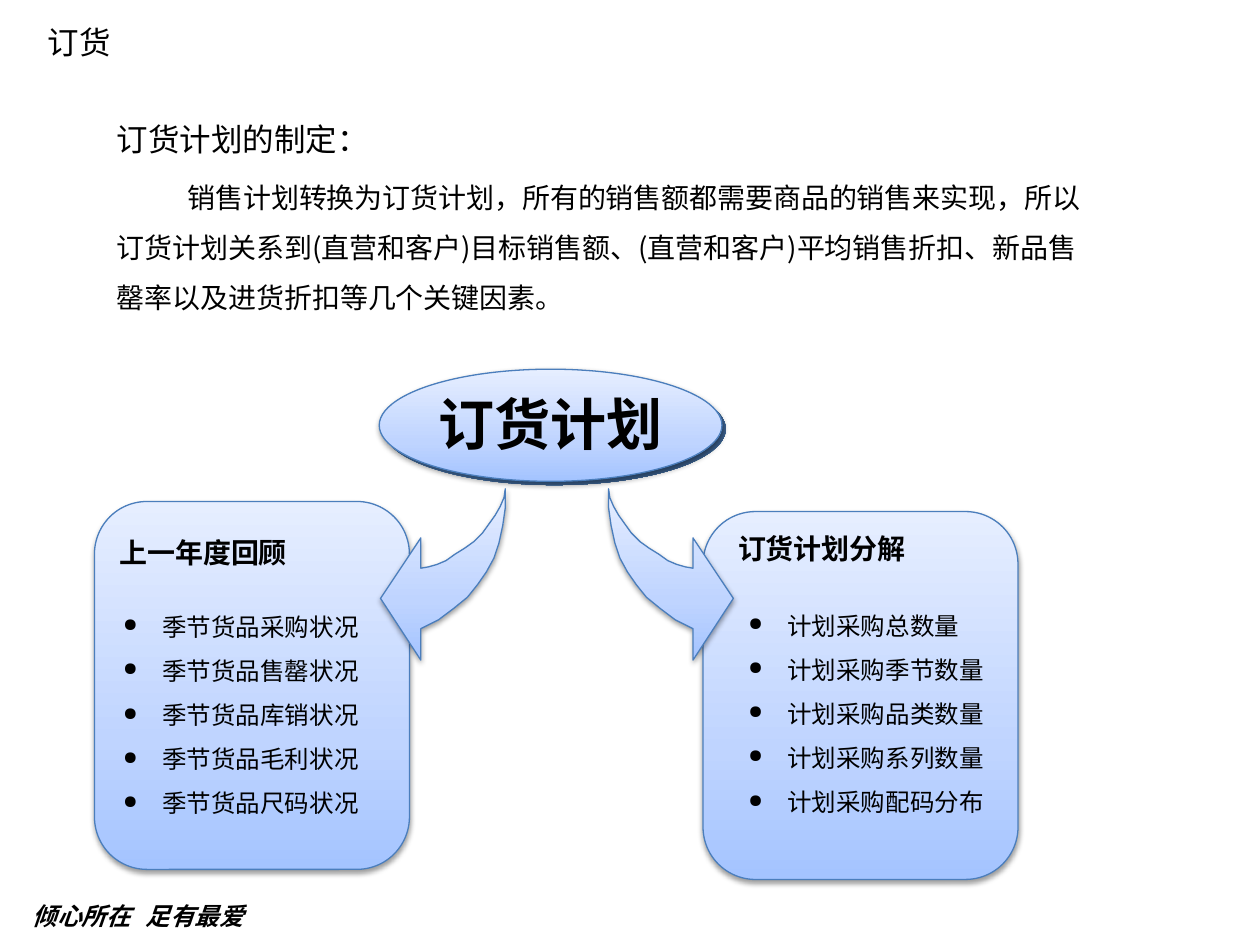
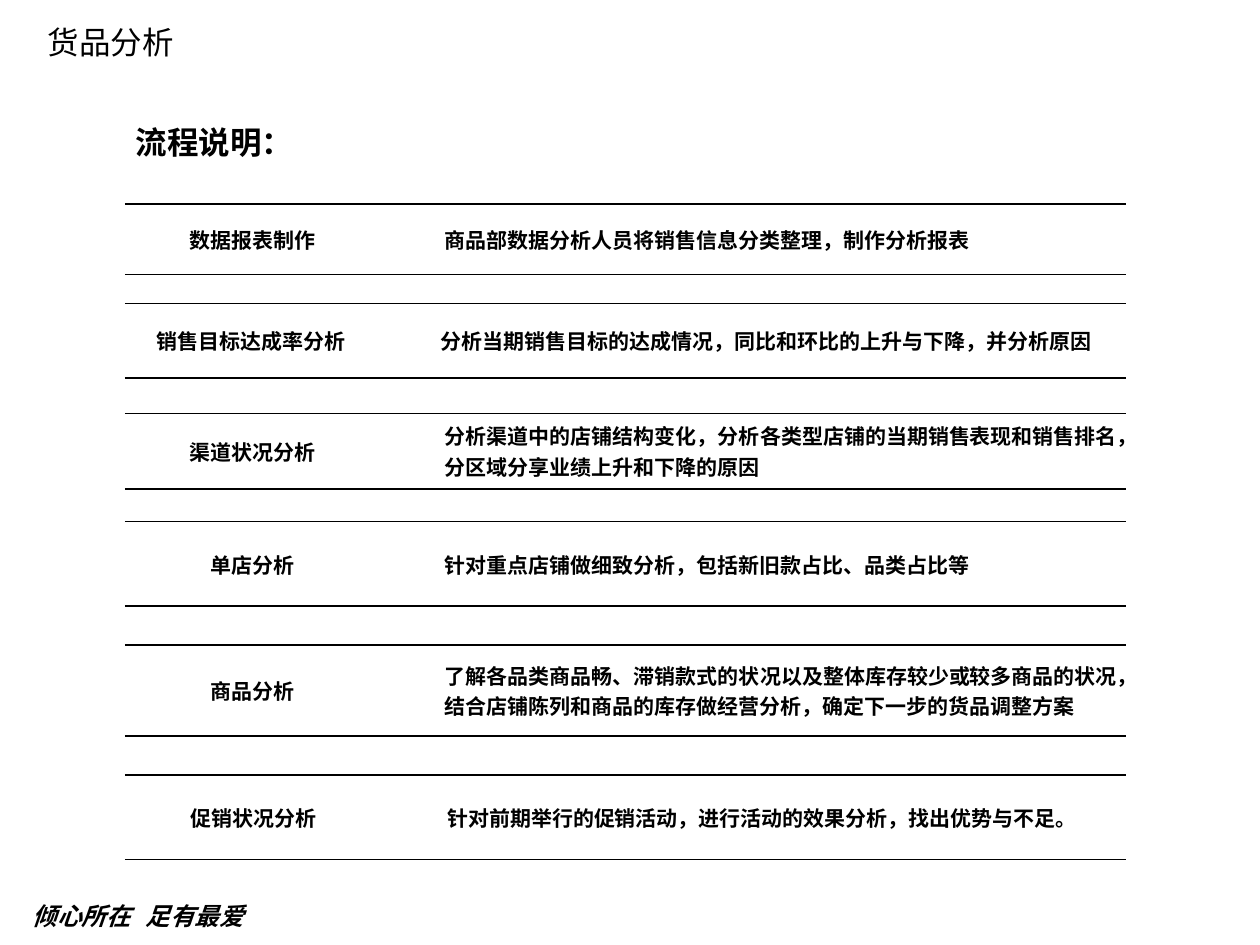
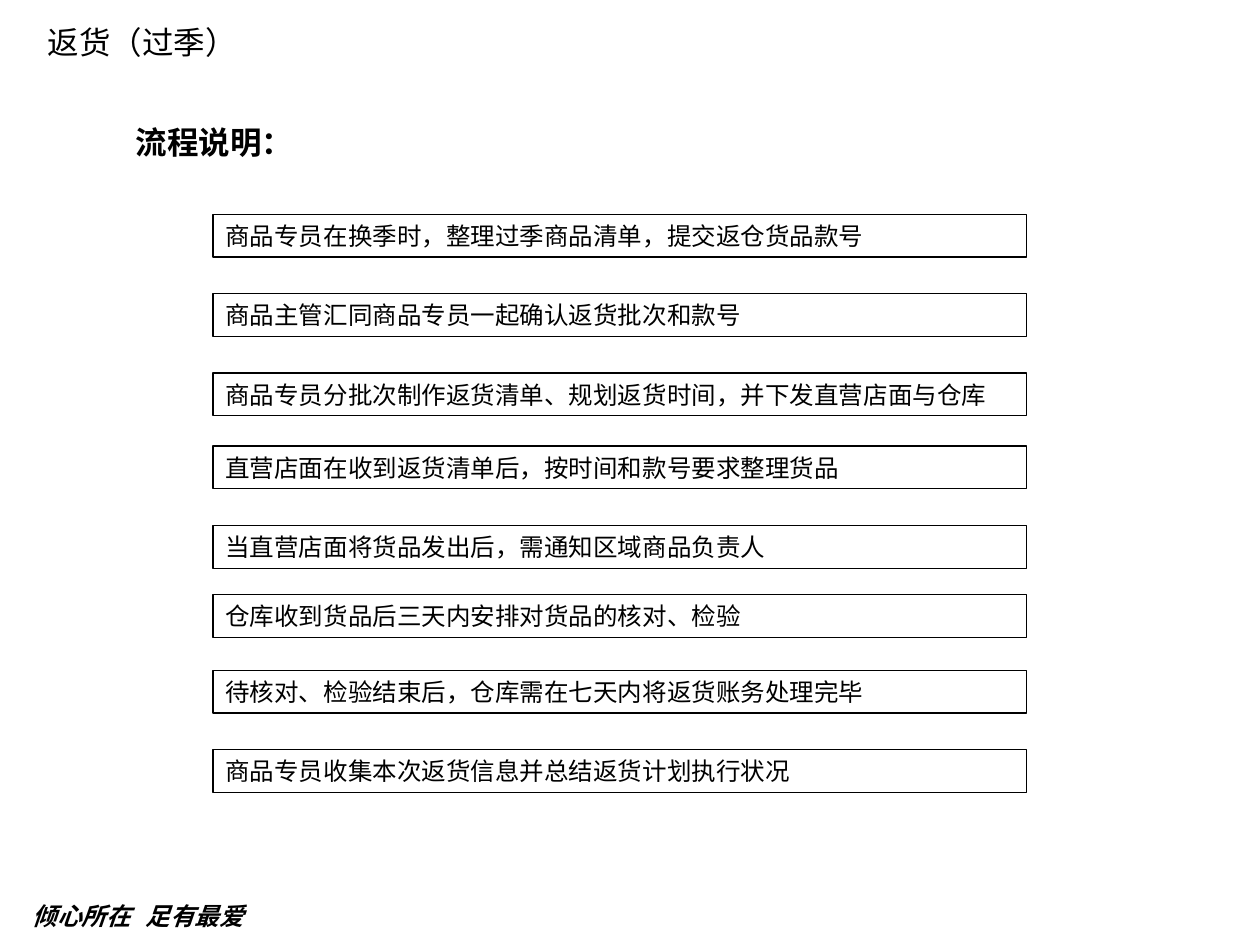
from dataclasses import dataclass

from lxml import etree
from pptx import Presentation
from pptx import util as u
from pptx.dml.color import RGBColor
from pptx.enum import shapes, text
from pptx.oxml.ns import qn


@dataclass(frozen=True)
class Theme:
    font: str = "Noto Sans CJK SC"
    ink: str = "000000"
    outline: str = "4B7EBC"
    gradient: tuple = ((0, "A4C4FF"), (35, "BFD4FF"), (100, "E6EEFF"))
    rim: tuple = ((0, "4F81BD"), (100, "3A5E8A"))
    title: int = 18
    body: int = 16
    item: int = 14
    cell: int = 12
    hero: int = 32
    spacing: float = 1.5


theme = Theme()


def add_run(paragraph, words, size, bold=False, italic=False):
    run = paragraph.add_run()
    run.text = words
    font = run.font
    font.size, font.bold, font.italic = u.Pt(size), bold, italic
    font.color.rgb = RGBColor.from_string(theme.ink)
    font.name = theme.font
    etree.SubElement(run._r.get_or_add_rPr(), qn("a:ea"), typeface=theme.font)


def add_label(slide, box, paragraphs, size, bold=False, spacing=1.0):
    """Add a wrapping text box and return it."""
    label = slide.shapes.add_textbox(*map(u.Inches, box))
    frame = label.text_frame
    frame.word_wrap = True
    for index, words in enumerate(paragraphs):
        paragraph = frame.add_paragraph() if index else frame.paragraphs[0]
        paragraph.line_spacing = spacing
        add_run(paragraph, words, size, bold)
    return label


presentation = Presentation()
presentation.slide_width, presentation.slide_height = u.Inches(10), u.Inches(7.5)

# Shared title and footer
slides = []
for title in ("订货", "货品分析", "返货（过季）"):
    slide = presentation.slides.add_slide(presentation.slide_layouts[6])
    add_label(slide, (0.28, 0.13, 3, 0.4), [title], theme.title)
    footer = slide.shapes.add_textbox(*map(u.Inches, (0.16, 7.1, 2.47, 0.32)))
    paragraph = footer.text_frame.paragraphs[0]
    tabs = etree.SubElement(paragraph._p.get_or_add_pPr(), qn("a:tabLst"))
    etree.SubElement(tabs, qn("a:tab"), pos=str(u.Inches(0.9)), algn="l")
    add_run(paragraph, "倾心所在\t足有最爱", theme.item, bold=True, italic=True)
    slides.append(slide)
order_slide, analysis_slide, return_slide = slides

# Ordering: introduction
introduction = add_label(order_slide, (0.83, 0.75, 7.95, 1.77), ["订货计划的制定："],
                         theme.title, spacing=theme.spacing)
paragraph = introduction.text_frame.add_paragraph()
paragraph.line_spacing = theme.spacing
paragraph.space_before = u.Pt(3.5)
paragraph._p.get_or_add_pPr().set("indent", str(u.Inches(0.56)))
add_run(paragraph, "销售计划转换为订货计划，所有的销售额都需要商品的销售来实现，所以"
        "订货计划关系到(直营和客户)目标销售额、(直营和客户)平均销售折扣、"
        "新品售罄率以及进货折扣等几个关键因素。", theme.body)

# Ordering: cards, curved arrows and oval
gradient_shapes = []
for left, top in ((5.58, 4.06), (0.75, 3.98)):
    card = order_slide.shapes.add_shape(shapes.MSO_SHAPE.ROUNDED_RECTANGLE,
                                        *map(u.Inches, (left, top, 2.5, 2.92)))
    gradient_shapes.append(card)

arrow_top = 3.88
arrow_outline = [
    (0, 0), (0, 0.15), (0.02, 0.29), (0.05, 0.43), (0.09, 0.55), (0.15, 0.66),
    (0.22, 0.76), (0.3, 0.86), (0.41, 0.95), (0.53, 1.04), (0.67, 1.11),
    (0.67, 1.36), (0.99, 0.87), (0.67, 0.39), (0.67, 0.63), (0.61, 0.62),
    (0.54, 0.6), (0.47, 0.57), (0.4, 0.52), (0.32, 0.47), (0.25, 0.42),
    (0.18, 0.35), (0.13, 0.28), (0.08, 0.21), (0.04, 0.14), (0.01, 0.07),
]
for stem, direction in ((4.01, -1), (4.83, 1)):
    points = [(u.Inches(stem + direction * x), u.Inches(arrow_top + y))
              for x, y in arrow_outline]
    builder = order_slide.shapes.build_freeform(*points[0])
    builder.add_line_segments(points[1:], close=True)
    gradient_shapes.append(builder.convert_to_shape())

for left, top in ((3.04, 2.96), (3.01, 2.93)):
    oval = order_slide.shapes.add_shape(shapes.MSO_SHAPE.OVAL,
                                        *map(u.Inches, (left, top, 2.72, 0.89)))
    gradient_shapes.append(oval)
rim = gradient_shapes[-2]
oval.text_frame.word_wrap = False
oval.text_frame.margin_bottom = u.Inches(0.09)
paragraph = oval.text_frame.paragraphs[0]
paragraph.alignment = text.PP_ALIGN.CENTER
add_run(paragraph, "订货计划", theme.hero, bold=True)

# Ordering: gradient, outline and soft shadow
for shape in gradient_shapes:
    shape.fill.gradient()
    shape.fill.gradient_angle = 315 if shape is rim else 90
    stops = shape._element.spPr.find(".//" + qn("a:gsLst"))
    stops.clear()
    for position, color in theme.rim if shape is rim else theme.gradient:
        stop = etree.SubElement(stops, qn("a:gs"), pos=str(position * 1000))
        etree.SubElement(stop, qn("a:srgbClr"), val=color)
    shape.shadow.inherit = False
    if shape is rim:
        shape.line.fill.background()
        continue
    shape.line.color.rgb = RGBColor.from_string(theme.outline)
    shape.line.width = u.Pt(0.75)
    effects = shape._element.spPr.find(qn("a:effectLst"))
    shadow = etree.SubElement(effects, qn("a:outerShdw"), blurRad="40000",
                              dist="20000", dir="5400000", rotWithShape="0")
    shade = etree.SubElement(shadow, qn("a:srgbClr"), val=theme.ink)
    etree.SubElement(shade, qn("a:alpha"), val="38000")

# Ordering: card headings and bullets
cards = [
    ("上一年度回顾", (0.85, 4.2, 2.23, 0.37), (0.88, 4.69, 2.14, 1.87),
     [f"季节货品{topic}状况" for topic in ("采购", "售罄", "库销", "毛利", "尺码")]),
    ("订货计划分解", (5.76, 4.17, 2.23, 0.37), (5.84, 4.68, 2.15, 1.83),
     [f"计划采购{topic}" for topic in ("总数量", "季节数量", "品类数量", "系列数量", "配码分布")]),
]
for heading, heading_box, list_box, items in cards:
    add_label(order_slide, heading_box, [heading], theme.body, bold=True)
    bullets = add_label(order_slide, list_box, items, theme.item, spacing=theme.spacing)
    for paragraph in bullets.text_frame.paragraphs:
        properties = paragraph._p.get_or_add_pPr()
        properties.set("marL", str(u.Inches(0.31)))
        properties.set("indent", str(u.Inches(-0.31)))
        etree.SubElement(properties, qn("a:buSzPct"), val="75000")
        etree.SubElement(properties, qn("a:buChar"), char="●")

# Heading of both process slides
for slide in (analysis_slide, return_slide):
    add_label(slide, (0.98, 0.93, 1.57, 0.4), ["流程说明："], theme.title, bold=True)

# Analysis: one ruled table per step
table_width = 7.95
steps = [
    (1.62, 0.56, 2.03, 0.44, "数据报表制作", "商品部数据分析人员将销售信息分类整理，制作分析报表"),
    (2.41, 0.59, 2.01, 0.43, "销售目标达成率分析",
     "分析当期销售目标的达成情况，同比和环比的上升与下降，并分析原因"),
    (3.28, 0.6, 2.03, 0.44, "渠道状况分析",
     "分析渠道中的店铺结构变化，分析各类型店铺的当期销售表现和销售排名，分区域分享业绩上升和下降的原因"),
    (4.14, 0.67, 2.03, 0.44, "单店分析", "针对重点店铺做细致分析，包括新旧款占比、品类占比等"),
    (5.12, 0.72, 2.03, 0.44, "商品分析",
     "了解各品类商品畅、滞销款式的状况以及整体库存较少或较多商品的状况，"
     "结合店铺陈列和商品的库存做经营分析，确定下一步的货品调整方案"),
    (6.15, 0.67, 2.05, 0.44, "促销状况分析", "针对前期举行的促销活动，进行活动的效果分析，找出优势与不足。"),
]
for top, height, name_width, gap_width, name, description in steps:
    table = analysis_slide.shapes.add_table(
        1, 3, *map(u.Inches, (0.99, top, table_width, height))).table
    table.first_row = table.horz_banding = False
    widths = (name_width, gap_width, table_width - name_width - gap_width)
    alignments = (text.PP_ALIGN.CENTER, None, text.PP_ALIGN.JUSTIFY)
    for index, words in enumerate((name, "", description)):
        table.columns[index].width = u.Inches(widths[index])
        cell = table.cell(0, index)
        cell.vertical_anchor = text.MSO_ANCHOR.MIDDLE
        cell.margin_left = cell.margin_right = u.Inches(0.07)
        cell.margin_top = cell.margin_bottom = 0
        for side in ("lnL", "lnR", "lnT", "lnB"):
            border = etree.SubElement(cell._tc.get_or_add_tcPr(), qn(f"a:{side}"),
                                      w=str(u.Pt(1)))
            if side in ("lnL", "lnR"):
                etree.SubElement(border, qn("a:noFill"))
            else:
                line_fill = etree.SubElement(border, qn("a:solidFill"))
                etree.SubElement(line_fill, qn("a:srgbClr"), val=theme.ink)
        cell.fill.background()
        if words:
            paragraph = cell.text_frame.paragraphs[0]
            paragraph.alignment = alignments[index]
            add_run(paragraph, words, theme.cell, bold=True)

# Returns: boxed steps
return_steps = [
    (1.7, "商品专员在换季时，整理过季商品清单，提交返仓货品款号"),
    (2.33, "商品主管汇同商品专员一起确认返货批次和款号"),
    (2.96, "商品专员分批次制作返货清单、规划返货时间，并下发直营店面与仓库"),
    (3.54, "直营店面在收到返货清单后，按时间和款号要求整理货品"),
    (4.17, "当直营店面将货品发出后，需通知区域商品负责人"),
    (4.72, "仓库收到货品后三天内安排对货品的核对、检验"),
    (5.32, "待核对、检验结束后，仓库需在七天内将返货账务处理完毕"),
    (5.95, "商品专员收集本次返货信息并总结返货计划执行状况"),
]
for top, words in return_steps:
    step = add_label(return_slide, (1.69, top, 6.46, 0.34), [words], theme.item)
    step.text_frame.vertical_anchor = text.MSO_ANCHOR.MIDDLE
    step.line.color.rgb = RGBColor.from_string(theme.ink)
    step.line.width = u.Pt(0.75)

presentation.save("out.pptx")
